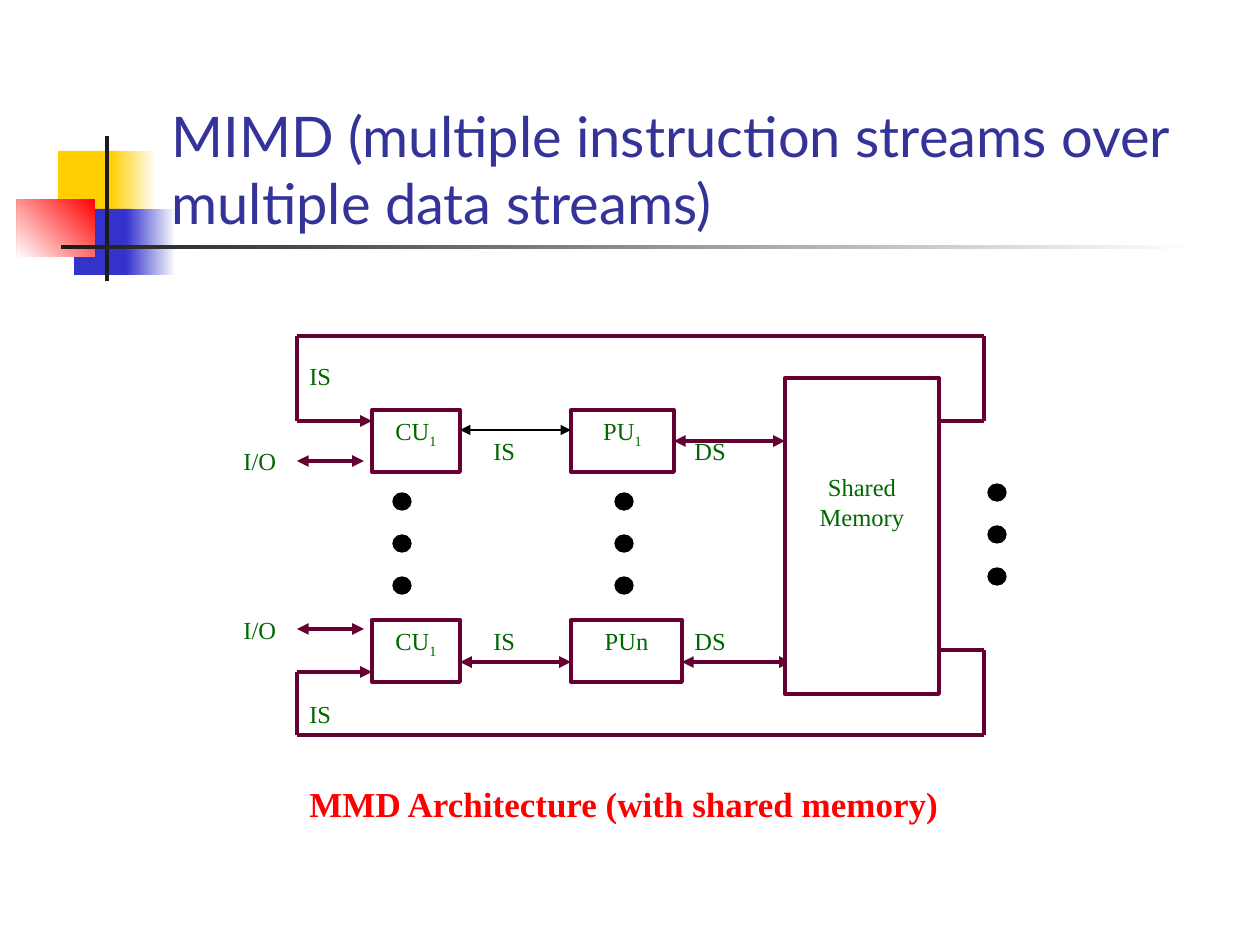
from pptx import Presentation
from pptx import util as u
from pptx.dml.color import RGBColor
from pptx.enum import shapes, text
from pptx.oxml import ns
from lxml import etree

PX = u.Inches(1) / 126  # one px in EMU

WHITE = RGBColor(0xFF, 0xFF, 0xFF)
BLACK = RGBColor(0x00, 0x00, 0x00)
YELLOW = RGBColor(0xFF, 0xCF, 0x01)
BLUE = RGBColor(0x33, 0x33, 0xCC)
RED = RGBColor(0xFF, 0x00, 0x00)
CHARCOAL = RGBColor(0x1C, 0x1C, 0x1C)
INDIGO = RGBColor(0x33, 0x33, 0x99)
GREEN = RGBColor(0x00, 0x66, 0x00)
MAROON = RGBColor(0x66, 0x00, 0x33)

LABEL = {"name": "Times New Roman", "size": u.Pt(14), "color": GREEN}
CAPTION = {"name": "Times New Roman", "size": u.Pt(20), "color": RED, "bold": True}
TITLE = {"name": "Lato", "size": u.Pt(32), "color": INDIGO}


def px(*lengths):
    return [round(length * PX) for length in lengths]


def set_font(font, style):
    for key, value in style.items():
        if key == "color":
            font.color.rgb = value
        else:
            setattr(font, key, value)


def set_frame(frame, anchor=text.MSO_ANCHOR.TOP, top=0.05):
    frame_format = {
        "word_wrap": True, "auto_size": text.MSO_AUTO_SIZE.NONE, "vertical_anchor": anchor,
        "margin_left": u.Inches(0.1), "margin_right": u.Inches(0.1),
        "margin_top": u.Inches(top), "margin_bottom": u.Inches(0.05),
    }
    for key, value in frame_format.items():
        setattr(frame, key, value)


def add_shape(slide, kind, box, fill, line=None, width=2.25):
    shape = slide.shapes.add_shape(kind, *px(*box))
    shape.shadow.inherit = False
    shape.fill.solid()
    shape.fill.fore_color.rgb = fill
    if line is None:
        shape.line.fill.background()
    else:
        shape.line.color.rgb = line
        shape.line.width = u.Pt(width)
    return shape


def add_label(slide, box, words, style=LABEL):
    frame = slide.shapes.add_textbox(*px(*box)).text_frame
    set_frame(frame)
    frame.text = words
    set_font(frame.paragraphs[0].runs[0].font, style)


def add_unit(slide, box, lines, subscript="", top=0.05):
    unit = add_shape(slide, shapes.MSO_SHAPE.RECTANGLE, box, WHITE, MAROON)
    frame = unit.text_frame
    set_frame(frame, top=top)
    frame.text = "\n".join(lines)
    if subscript:
        index = frame.paragraphs[0].add_run()
        index.text = subscript
        index.font._element.set("baseline", "-25000")
    for paragraph in frame.paragraphs:
        paragraph.alignment = text.PP_ALIGN.CENTER
        for run in paragraph.runs:
            set_font(run.font, LABEL)
    return unit


def add_line(slide, start, end, ends=(), color=MAROON, width=2.25):
    line = slide.shapes.add_connector(shapes.MSO_CONNECTOR.STRAIGHT, *px(*start, *end))
    line.line.color.rgb = color
    line.line.width = u.Pt(width)
    properties = line.element.spPr
    for name in ends:
        etree.SubElement(properties.find(ns.qn("a:ln")), ns.qn(f"a:{name}"), type="triangle")
    etree.SubElement(properties, ns.qn("a:effectLst"))
    return line


def decoration(slide, left, top):
    """Coloured blocks and rules beside the title."""
    def block(x, y, w, h, color, angle=None):
        shape = add_shape(slide, shapes.MSO_SHAPE.RECTANGLE, (left + x, top + y, w, h), color)
        if angle is not None:
            shape.fill.gradient()
            shape.fill.gradient_angle = angle
            for stop, shade in zip(shape.fill.gradient_stops, (color, WHITE)):
                stop.color.rgb = shade

    block(41, 15, 60, 66, YELLOW)
    block(94, 15, 45, 66, YELLOW, 0)
    block(57, 73, 58, 66, BLUE)
    block(109, 73, 50, 66, BLUE, 0)
    block(0, 63, 78, 58, RED, 225)
    block(88, 0, 4, 145, CHARCOAL)
    block(44, 109, 1134, 4, CHARCOAL, 0)


def heading(slide, box):
    title = slide.shapes.title
    title.left, title.top, title.width, title.height = px(*box)
    title.element.getparent().append(title.element)  # in front of the decoration
    set_frame(title.text_frame, text.MSO_ANCHOR.BOTTOM)
    title.text_frame.text = "MIMD (multiple instruction streams over multiple data streams)"
    paragraph = title.text_frame.paragraphs[0]
    paragraph.alignment = text.PP_ALIGN.LEFT
    set_font(paragraph.runs[0].font, TITLE)


def diagram(slide, left, top):
    """Control units, processing units and the memory they share."""
    def at(x, y, *size):
        return (left + x, top + y, *size)

    both = ("headEnd", "tailEnd")
    cu_x, cu_w, pu_x, unit_h = 141, 88, 340, 62
    memory_x, memory_w = 554, 154
    loop_left, loop_right = 66, 753

    # Rows: unit top, PU name, index and width, CU-PU line, IS/DS labels, I/O label and arrow
    rows = [
        (74, "PU", "1", 103, (94, BLACK, 0.75), 94, 104, 125),
        (284, "PUn", "", 111, (326, MAROON, 2.25), 284, 273, 293),
    ]
    processors = []
    for unit_y, name, index, pu_w, link, label_y, io_y, io_line_y in rows:
        add_unit(slide, at(cu_x, unit_y, cu_w, unit_h), ["CU"], "1")
        processors.append(add_unit(slide, at(pu_x, unit_y, pu_w, unit_h), [name], index))
        link_y, color, width = link
        add_line(slide, at(cu_x + cu_w, link_y), at(pu_x, link_y), both, color, width)
        add_line(slide, at(loop_left, io_line_y), at(133, io_line_y), both)
        for x, y, words in ((250, label_y, "IS"), (451, label_y, "DS"), (0, io_y, "I/O")):
            add_label(slide, at(x, y, 88, 43), words)

    # Data streams and the memory
    add_line(slide, at(451, 326), at(560, 326), both)
    add_unit(slide, at(memory_x, 42, memory_w, 316), ["Shared", "Memory"], top=0.75)
    stream = add_line(slide, at(443, 105), at(memory_x, 105), both)
    stream.begin_connect(processors[0], 3)

    # Instruction streams looping back from the memory: rail, memory end, CU end, label
    for rail_y, memory_y, cu_y, label_y in ((0, 85, 85, 19), (399, 314, 336, 357)):
        corners = [(memory_x + memory_w, memory_y), (loop_right, memory_y),
                   (loop_right, rail_y), (loop_left, rail_y), (loop_left, cu_y), (cu_x, cu_y)]
        for start, end in zip(corners, corners[1:]):
            add_line(slide, at(*start), at(*end), both[1:] if end == corners[-1] else ())
        add_label(slide, at(loop_left, label_y, 88, 43), "IS")

    # Dots for the units left out
    for x, y in ((162, 157), (384, 157), (757, 148)):
        for step in range(3):
            add_shape(slide, shapes.MSO_SHAPE.OVAL, at(x, y + 42 * step, 18, 17), BLACK, BLACK, 0.75)

    add_label(slide, at(loop_left, 440, 752, 55), "MMD Architecture (with shared memory)", CAPTION)


def main():
    deck = Presentation()
    deck.slide_width, deck.slide_height = u.Inches(10), u.Inches(7.5)
    slide = deck.slides.add_slide(deck.slide_layouts[5])
    decoration(slide, 17, 136)
    heading(slide, (159, 84, 1073, 158))
    diagram(slide, 231, 336)
    deck.save("out.pptx")


if __name__ == "__main__":
    main()
